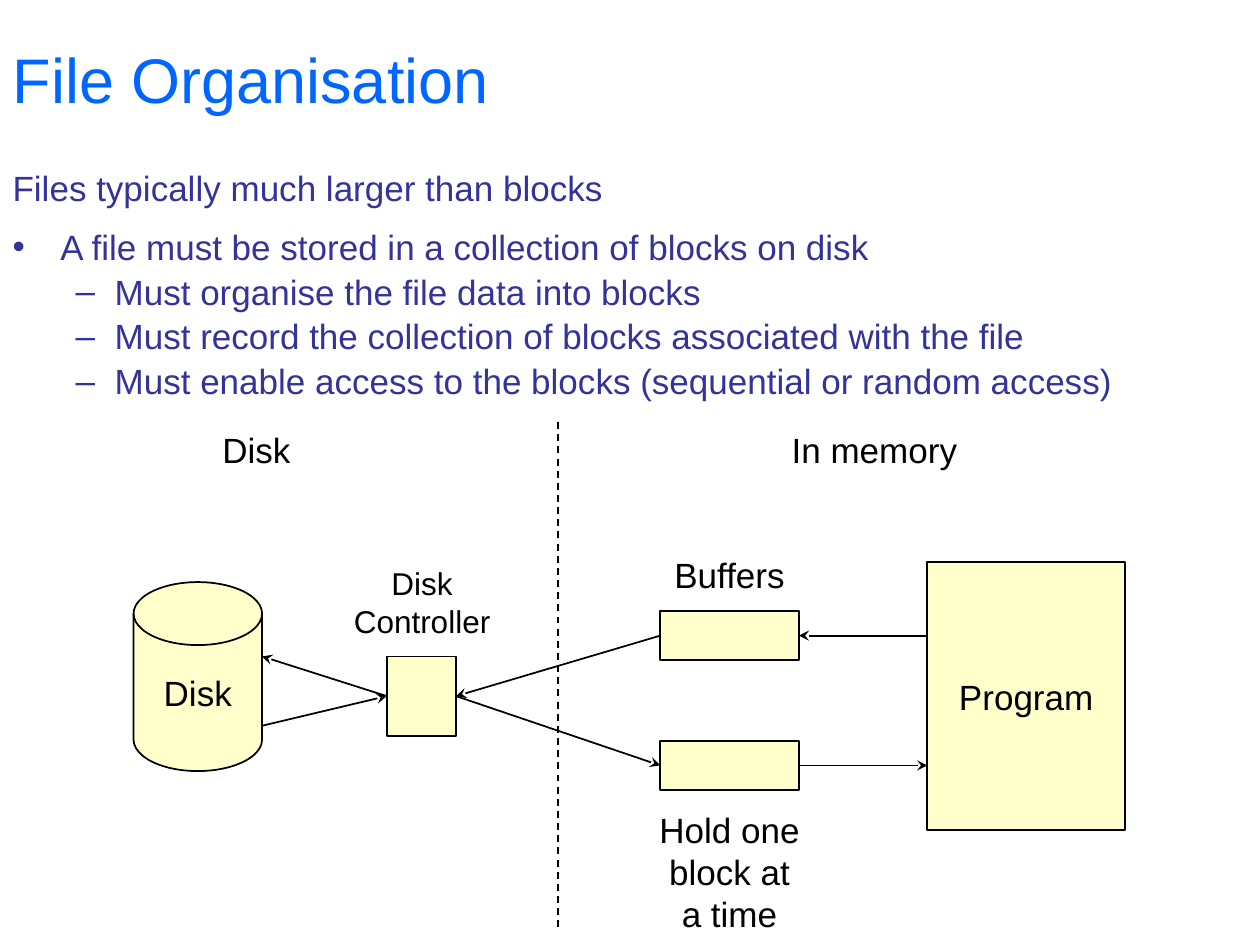
import pptx
import pptx.util
import pptx.dml.color
import pptx.enum.dml
import pptx.enum.shapes
import pptx.enum.text
import pptx.oxml
import pptx.oxml.ns
from pptx.util import Inches

MSO = pptx.enum.shapes.MSO_SHAPE
ALIGN = pptx.enum.text.PP_ALIGN
ANCHOR = pptx.enum.text.MSO_ANCHOR

THEME = {
    "font": "Arial",
    "title": "0066FF", "body": "333399", "ink": "000000", "fill": "FFFFCC",
    "title_size": 36, "text_size": 20, "small_size": 18, "line": 1,
}

TITLE = "File Organisation"
BODY = [
    ("Files typically much larger than blocks", 0, None, 0, 0, 4),
    ("A file must be stored in a collection of blocks on disk", 0, "•", 0.38, -0.38, 12),
    ("Must organise the file data into blocks", 1, "–", 0.81, -0.31, 4),
    ("Must record the collection of blocks associated with the file", 1, "–", 0.81, -0.31, 4),
    ("Must enable access to the blocks (sequential or random access)", 1, "–", 0.81, -0.31, 4),
]
NODES = {
    "disk": (MSO.FLOWCHART_MAGNETIC_DISK, (1.06, 4.62, 1.02, 1.5), "Disk"),
    "program": (MSO.FLOWCHART_PROCESS, (7.36, 4.46, 1.57, 2.13), "Program"),
    "write_buffer": (MSO.FLOWCHART_PROCESS, (5.24, 4.85, 1.1, 0.39), ""),
    "read_buffer": (MSO.FLOWCHART_PROCESS, (5.24, 5.88, 1.1, 0.39), ""),
    "controller": (MSO.FLOWCHART_PROCESS, (3.07, 5.21, 0.55, 0.63), ""),
}
LABELS = [
    (["In memory"], (6.18, 3.35, 1.52, 0.44), "text_size"),
    (["Disk"], (1.62, 3.35, 0.83, 0.44), "text_size"),
    (["Buffers"], (5.04, 4.34, 1.5, 0.44), "text_size"),
    (["Hold one", "block at", "a time"], (5.04, 6.37, 1.5, 1.1), "text_size"),
    (["Disk", "Controller"], (2.6, 4.43, 1.5, 0.7), "small_size"),
]
DIVIDER = ((4.43, 3.35), (4.43, 7.37))


def rgb(name):
    return pptx.dml.color.RGBColor.from_string(THEME[name])


def style(p, size, color, align=ALIGN.CENTER):
    p.alignment = align
    p.font.name = THEME["font"]
    p.font.size = pptx.util.Pt(THEME[size])
    p.font.color.rgb = rgb(color)


def place(sp, box):
    sp.left, sp.top, sp.width, sp.height = map(Inches, box)


def write(tf, lines, size):
    tf.margin_left = tf.margin_right = tf.margin_top = tf.margin_bottom = 0
    tf.vertical_anchor = ANCHOR.MIDDLE
    tf.word_wrap = True
    tf.text = "\n".join(lines)
    for p in tf.paragraphs:
        style(p, size, "ink")


def add_xml(parent, tag, **attrs):
    el = pptx.oxml.parse_xml(f"<a:{tag} {pptx.oxml.ns.nsdecls('a')}/>")
    for key, value in attrs.items():
        el.set(key, value)
    parent.append(el)


def add_line(slide, start, end, arrow=True):
    c = slide.shapes.add_connector(
        pptx.enum.shapes.MSO_CONNECTOR.STRAIGHT, *map(Inches, start + end))
    c.line.color.rgb = rgb("ink")
    c.line.width = pptx.util.Pt(THEME["line"])
    if arrow:
        add_xml(c.line._get_or_add_ln(), "tailEnd", type="stealth")
    else:
        c.line.dash_style = pptx.enum.dml.MSO_LINE.DASH
    add_xml(c._element.spPr, "effectLst")


def side(name, edge, offset=0):
    x, y, w, h = NODES[name][1]
    return (x + w if edge == "right" else x, y + h / 2 + offset)


def fill_placeholders(slide):
    title, body = slide.shapes.title, slide.placeholders[1]
    place(title, (0, 0, 10, 1.25))
    place(body, (0, 1.31, 10, 6.19))
    for sp in (title, body):
        sp.text_frame.auto_size = pptx.enum.text.MSO_AUTO_SIZE.NONE
    title.text_frame.text = TITLE
    title.text_frame.vertical_anchor = ANCHOR.MIDDLE
    style(title.text_frame.paragraphs[0], "title_size", "title", ALIGN.LEFT)

    tf = body.text_frame
    tf.text = "\n".join(item[0] for item in BODY)
    for p, (_, level, bullet, margin, indent, before) in zip(tf.paragraphs, BODY):
        p.level = level
        p.line_spacing = 0.9
        p.space_before = pptx.util.Pt(before)
        pPr = p._p.get_or_add_pPr()
        pPr.set("marL", str(Inches(margin)))
        pPr.set("indent", str(Inches(indent)))
        if bullet:
            add_xml(pPr, "buChar", char=bullet)
        else:
            add_xml(pPr, "buNone")
        style(p, "text_size", "body", ALIGN.LEFT)


def draw_diagram(slide):
    for kind, box, text in NODES.values():
        sp = slide.shapes.add_shape(kind, *map(Inches, box))
        sp.shadow.inherit = False
        sp.fill.solid()
        sp.fill.fore_color.rgb = rgb("fill")
        sp.line.color.rgb = rgb("ink")
        sp.line.width = pptx.util.Pt(THEME["line"])
        if text:
            write(sp.text_frame, [text], "text_size")
    for lines, box, size in LABELS:
        write(slide.shapes.add_textbox(*map(Inches, box)).text_frame, lines, size)

    write_in, write_out = side("write_buffer", "right"), side("write_buffer", "left")
    read_in, read_out = side("read_buffer", "left"), side("read_buffer", "right")
    memory_side, disk_side = side("controller", "right"), side("controller", "left")
    program_x = side("program", "left")[0]
    arrows = [
        ((program_x, write_in[1]), write_in),
        (write_out, memory_side),
        (disk_side, side("disk", "right", -0.16)),
        (side("disk", "right", 0.39), disk_side),
        (memory_side, read_in),
        (read_out, (program_x, read_out[1])),
    ]
    for start, end in arrows:
        add_line(slide, start, end)
    add_line(slide, *DIVIDER, arrow=False)


def main():
    prs = pptx.Presentation()
    prs.slide_width, prs.slide_height = Inches(10), Inches(7.5)
    slide = prs.slides.add_slide(prs.slide_layouts[1])
    fill_placeholders(slide)
    draw_diagram(slide)
    prs.save("out.pptx")


if __name__ == "__main__":
    main()
